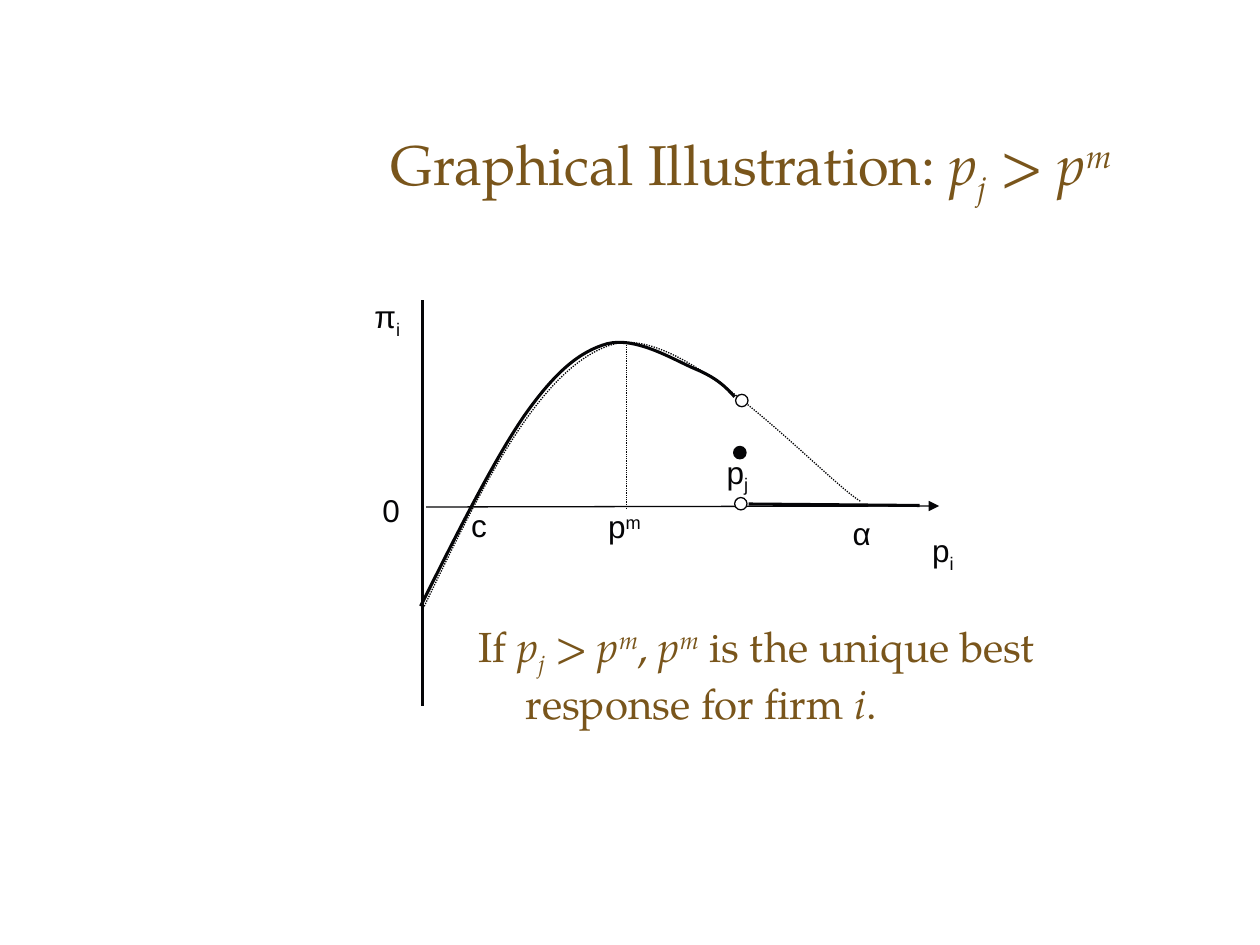
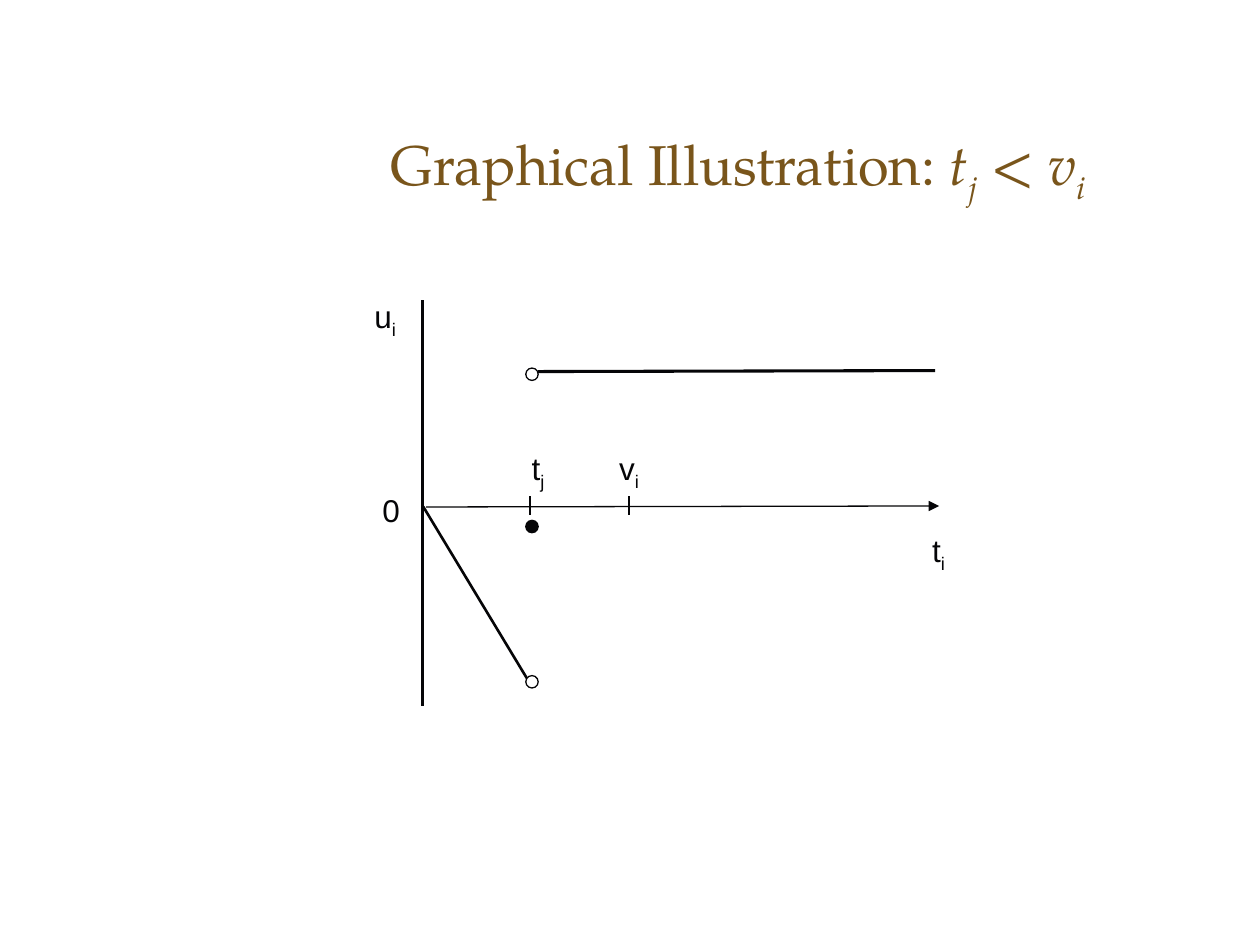
from pptx import Presentation
from pptx.dml.color import RGBColor
from pptx.enum.dml import MSO_LINE
from pptx.enum.shapes import MSO_CONNECTOR, MSO_SHAPE
from pptx.enum.text import MSO_ANCHOR, MSO_AUTO_SIZE, PP_ALIGN
from pptx.oxml.ns import qn
from pptx.util import Cm, Pt
from lxml.etree import SubElement

BROWN = RGBColor(0x79, 0x55, 0x1B)
INK = RGBColor(0x05, 0x05, 0x07)
WHITE = RGBColor(0xFF, 0xFF, 0xFF)
SERIF = "TeX Gyre Pagella"
SANS = "Arial"
BASELINES = {"sub": "-25000", "sup": "30000"}

AXIS_X, AXIS_Y = 8.52, 10.21
DOT = 0.25

# Start point, then two control points and an end point for each segment
MONOPOLY_PROFIT = [(8.53, 12.27),
                   (9.73, 9.78), (10.92, 7.32), (12.4, 6.93),
                   (13.87, 6.58), (16.54, 9.6), (17.35, 10.11)]
ACTUAL_PROFIT = [(8.48, 12.22),
                 (9.22, 10.74), (9.96, 9.27), (10.57, 8.38),
                 (11.2, 7.49), (11.68, 7.09), (12.24, 6.93),
                 (12.83, 6.78), (13.59, 7.26), (14.02, 7.44),
                 (14.45, 7.62), (14.63, 7.8), (14.81, 8)]


def write_text(frame, pieces, font=SERIF, size=24, color=BROWN,
               anchor=MSO_ANCHOR.TOP, space_before=0):
    """Fill the frame with pieces: (text, style words "i", "sub", "sup")."""
    frame.word_wrap = True
    frame.auto_size = MSO_AUTO_SIZE.NONE
    frame.vertical_anchor = anchor
    paragraph = frame.paragraphs[0]
    paragraph.alignment = PP_ALIGN.LEFT
    paragraph.space_before = Pt(space_before)
    for text, style in pieces:
        run = paragraph.add_run()
        run.text = text
        run.font.name = font
        run.font.size = Pt(size)
        run.font.color.rgb = color
        words = style.split()
        run.font.italic = "i" in words
        for word in words:
            if word in BASELINES:
                run._r.get_or_add_rPr().set("baseline", BASELINES[word])
    return paragraph


def place(shape, left, top, width, height):
    shape.left, shape.top = Cm(left), Cm(top)
    shape.width, shape.height = Cm(width), Cm(height)


def add_title(slide, condition):
    title = slide.shapes.title
    place(title, 7.62, 2.11, 15.24, 2.54)
    write_text(title.text_frame, [("Graphical Illustration: ", "")] + condition,
               size=32, anchor=MSO_ANCHOR.MIDDLE)


def add_conclusion(slide, pieces):
    body = slide.placeholders[1]
    place(body, 9.39, 12.38, 13.36, 3.91)
    paragraph = write_text(body.text_frame, pieces, space_before=6)
    properties = paragraph._p.get_or_add_pPr()
    properties.set("marL", str(Cm(0.95)))
    properties.set("indent", str(-Cm(0.95)))
    SubElement(properties, qn("a:buNone"))


def add_label(slide, left, top, width, symbol, mark="", style="sub"):
    box = slide.shapes.add_textbox(Cm(left), Cm(top), Cm(width),
                                   Cm(1.12 if mark and style == "sub" else 1.02))
    pieces = [(symbol, "")] + ([(mark, style)] if mark else [])
    write_text(box.text_frame, pieces, font=SANS, size=18, color=INK)


def style_line(line, weight, dotted=False):
    line.color.rgb = INK
    line.width = Pt(weight)
    if dotted:
        line.dash_style = MSO_LINE.ROUND_DOT


def add_line(slide, start, end, weight, dotted=False, arrow=False):
    connector = slide.shapes.add_connector(
        MSO_CONNECTOR.STRAIGHT, *(Cm(v) for v in start + end))
    style_line(connector.line, weight, dotted)
    if arrow:
        SubElement(connector.line._get_or_add_ln(), qn("a:tailEnd"), type="triangle")
    SubElement(connector._element.spPr, qn("a:effectLst"))


def add_curve(slide, points, weight, dotted=False):
    """Draw the control polygon, then turn each three points into a Bezier segment."""
    start, *others = [(Cm(x), Cm(y)) for x, y in points]
    builder = slide.shapes.build_freeform(*start)
    builder.add_line_segments(others, close=False)
    curve = builder.convert_to_shape()
    outline = next(curve._element.iter(qn("a:moveTo"))).getparent()
    for index, corner in enumerate(outline.findall(qn("a:lnTo"))):
        if index % 3 == 0:
            segment = SubElement(outline, qn("a:cubicBezTo"))
        segment.append(corner[0])
        outline.remove(corner)
    curve.shadow.inherit = False
    curve.fill.background()
    style_line(curve.line, weight, dotted)


def add_dot(slide, left, top, fill=WHITE):
    dot = slide.shapes.add_shape(MSO_SHAPE.FLOWCHART_CONNECTOR,
                                 Cm(left), Cm(top), Cm(DOT), Cm(DOT))
    dot.shadow.inherit = False
    dot.fill.solid()
    dot.fill.fore_color.rgb = fill
    style_line(dot.line, 0.75)


def add_axes(slide, payoff, choice):
    add_line(slide, (AXIS_X, 6.05), (AXIS_X, 14.23), 1.5)
    add_line(slide, (8.59, AXIS_Y + 0.01), (18.93, AXIS_Y - 0.01), 0.75, arrow=True)
    add_label(slide, 7.46, 9.77, 0.81, "0")
    add_label(slide, 7.3, 5.86, 1.45, payoff, "i")
    add_label(slide, 18.54, 10.58, 2.44, choice, "i")


def build_price_slide(deck):
    slide = deck.slides.add_slide(deck.slide_layouts[1])
    add_title(slide, [("p", "i"), ("j", "i sub"), (" > p", "i"), ("m", "i sup")])
    add_axes(slide, "π", "p")
    add_curve(slide, MONOPOLY_PROFIT, 0.75, dotted=True)
    add_line(slide, (12.62, 6.96), (12.62, 10.26), 0.5, dotted=True)
    add_label(slide, 12.01, 10.1, 1.98, "p", "m", "sup")
    add_label(slide, 9.25, 10.08, 1.98, "c")
    add_label(slide, 14.4, 9, 1.98, "p", "j")
    add_label(slide, 16.94, 10.24, 1.45, "α")
    add_dot(slide, 14.81, 10.03)
    add_dot(slide, 14.83, 7.95)
    add_line(slide, (15.09, 10.16), (18.54, 10.19), 1.75)
    add_curve(slide, ACTUAL_PROFIT, 1.75)
    add_dot(slide, 14.79, 9, fill=INK)
    add_conclusion(slide, [
        ("If ", ""), ("p", "i"), ("j", "i sub"), (" > p", "i"), ("m", "i sup"),
        (", ", ""), ("p", "i"), ("m", "i sup"),
        (" is the unique best response for firm ", ""), ("i", "i"), (".", "")])


def build_timing_slide(deck):
    slide = deck.slides.add_slide(deck.slide_layouts[5])
    add_title(slide, [("t", "i"), ("j", "i sub"), (" < v", "i"), ("i", "i sub")])
    add_axes(slide, "u", "t")
    add_label(slide, 10.47, 8.93, 0.89, "t", "j")
    add_label(slide, 12.23, 8.93, 2.06, "v", "i")
    for top, fill in ((13.62, WHITE), (7.42, WHITE), (10.49, INK)):
        add_dot(slide, 10.6, top, fill)
    add_line(slide, (10.85, 7.49), (18.85, 7.47), 1.75)
    add_line(slide, (8.53, AXIS_Y), (10.62, 13.67), 1.5)
    for tick in (10.68, 12.68):
        add_line(slide, (tick, 10), (tick, 10.38), 1.25)


def main():
    deck = Presentation()
    deck.slide_width, deck.slide_height = Cm(25.4), Cm(19.05)
    build_price_slide(deck)
    build_timing_slide(deck)
    deck.save("out.pptx")


if __name__ == "__main__":
    main()
